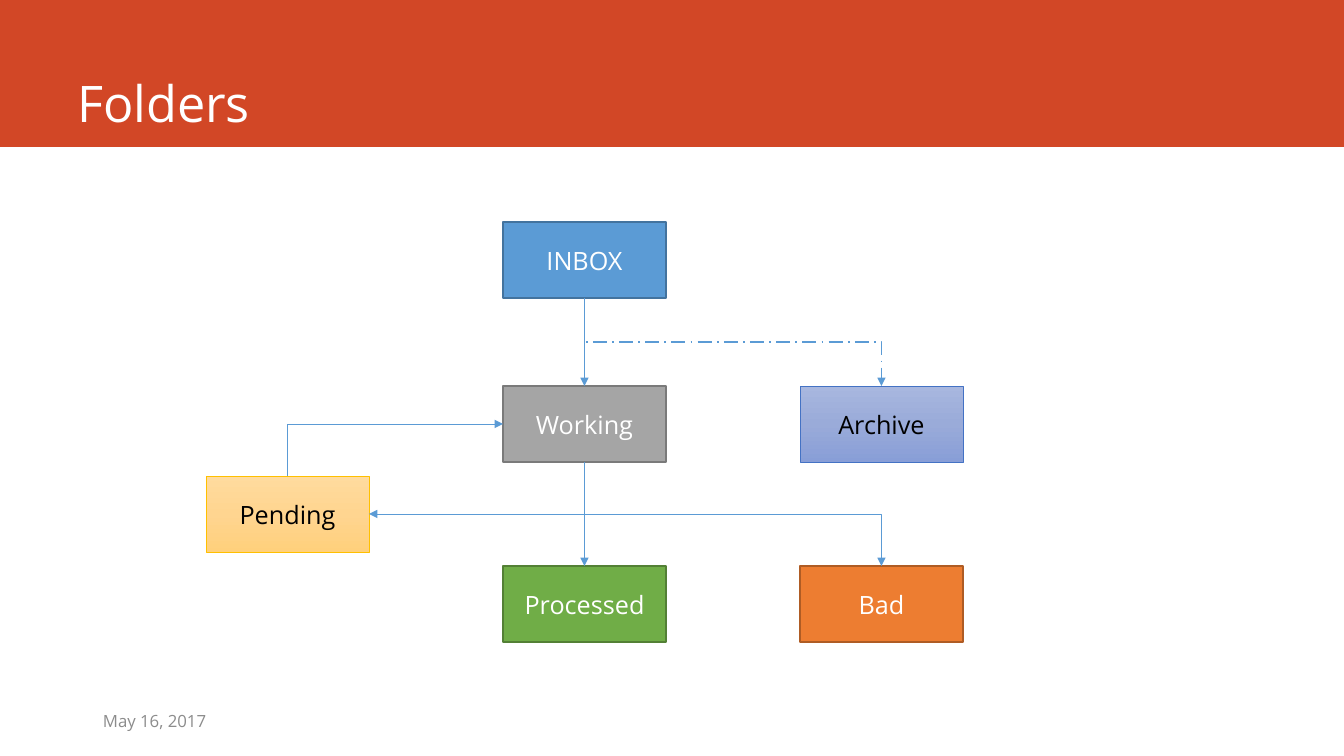
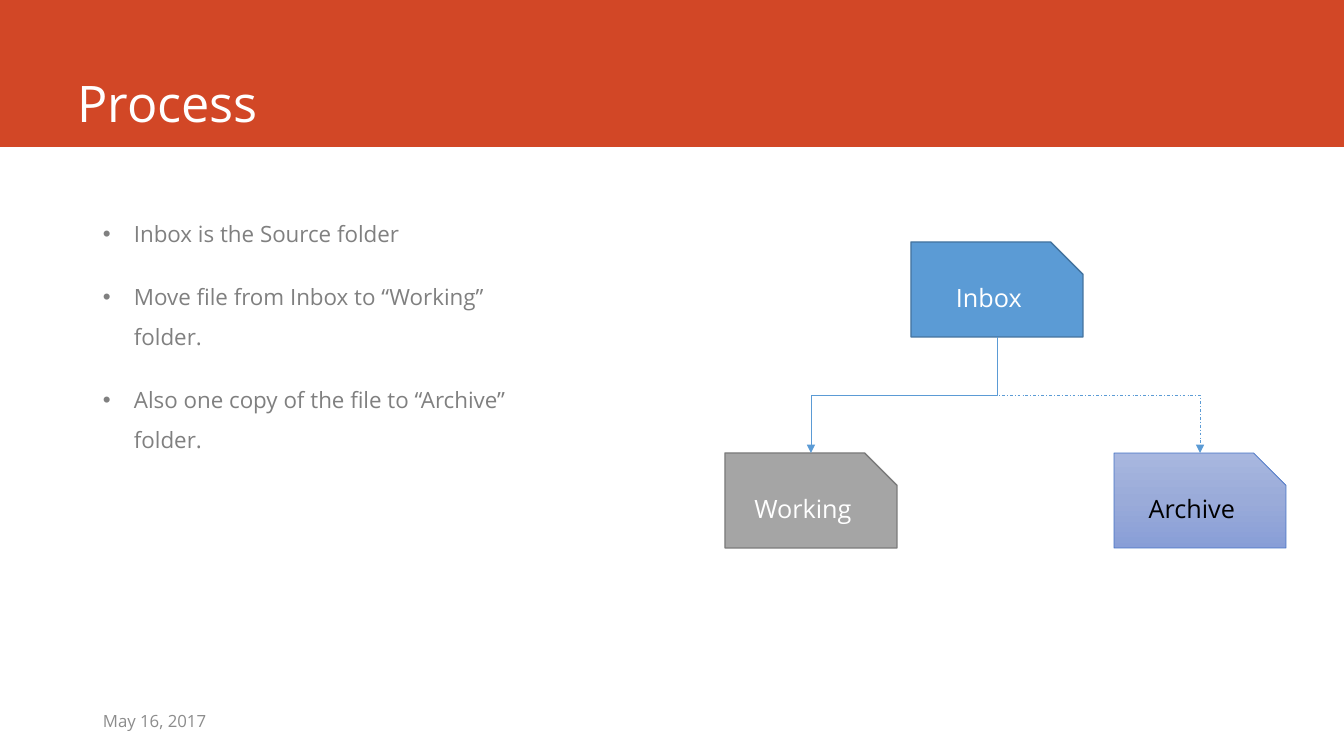
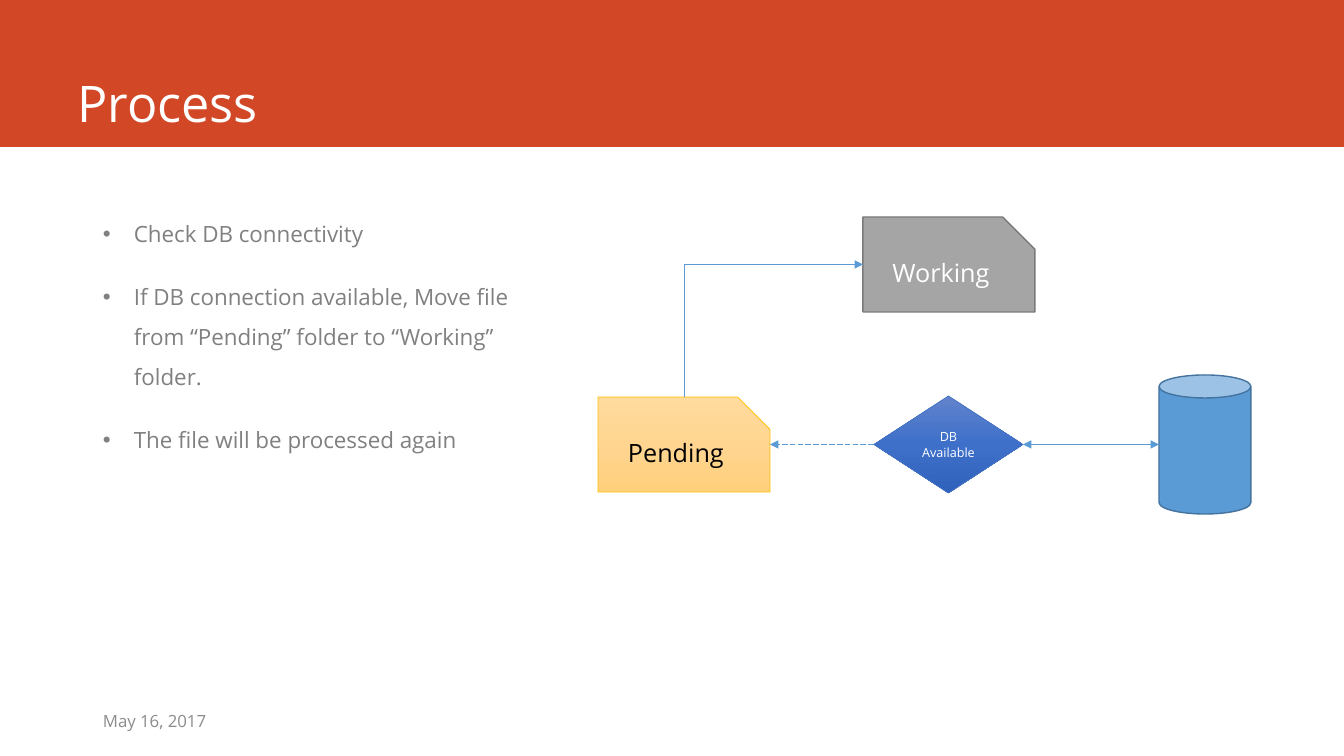
from copy import deepcopy

from pptx import Presentation
from pptx.dml.color import RGBColor
from pptx.enum.dml import MSO_LINE
from pptx.enum.shapes import MSO_CONNECTOR, MSO_SHAPE
from pptx.enum.text import MSO_ANCHOR, MSO_AUTO_SIZE, PP_ALIGN
from pptx.oxml.ns import qn
from pptx.oxml.xmlchemy import OxmlElement
from pptx.util import Pt

EMU_PER_PIXEL = 914400 / 100.8
SLIDE_WIDTH, SLIDE_HEIGHT = 1344, 756
TITLE_ONLY = 5

# Each style: fill (one colour, or three gradient stops), line, line width, text
BLUE = ("5B9BD5", "43739E", 1, "FFFFFF")
GRAY = ("A5A5A5", "7A7A7A", 1, "FFFFFF")
GREEN = ("70AD47", "538035", 1, "FFFFFF")
ORANGE = ("ED7D31", "AF5C24", 1, "FFFFFF")
YELLOW = (("FFDB9E", "FFD590", "FFD07C"), "FFC000", 0.5, "000000")
LAVENDER = (("A8B7DF", "9AABD9", "889ED7"), "4472C4", 0.5, "000000")
ROYAL = (("6183CB", "3E70CA", "3062BB"), "4472C4", 0.5, "FFFFFF")

# Connection sites in the order each preset shape numbers them
DEFAULT_SITES = ("top", "left", "bottom", "right")
SITES = {
    MSO_SHAPE.SNIP_1_RECTANGLE: ("right", "bottom", "left", "top"),
    MSO_SHAPE.CAN: ("center", "top", "left", "bottom", "right"),
}


def px(value):
    """Turn pixels into EMU."""
    return round(value * EMU_PER_PIXEL)


def rgb(value):
    """Turn a hex string into a colour."""
    return RGBColor.from_string(value)


def side_point(shape, side):
    """Return the middle of one side of a shape."""
    x = {"left": 0, "right": shape.width}.get(side, shape.width // 2)
    y = {"top": 0, "bottom": shape.height}.get(side, shape.height // 2)
    return shape.left + x, shape.top + y


class Deck:
    """Holds the shared style and the current slide."""

    font = "Open Sans"
    band = "D24726"
    arrow_color = "5B9BD5"
    date = "May 16, 2017"
    box_size = (163, 76)
    folder_size = (172, 95)

    def __init__(self):
        """Start an empty widescreen presentation."""
        self.presentation = Presentation()
        self.presentation.slide_width = px(SLIDE_WIDTH)
        self.presentation.slide_height = px(SLIDE_HEIGHT)
        self.slide = None

    def format_text(self, shape, size, color, align=PP_ALIGN.LEFT,
                    anchor=MSO_ANCHOR.MIDDLE):
        """Give all text of a shape one look."""
        frame = shape.text_frame
        frame.word_wrap = True
        frame.auto_size = MSO_AUTO_SIZE.NONE
        frame.vertical_anchor = anchor
        for paragraph in frame.paragraphs:
            paragraph.alignment = align
            for run in paragraph.runs:
                run.font.name = self.font
                run.font.size = Pt(size)
                run.font.color.rgb = rgb(color)

    def textbox(self, left, top, width, height, text):
        """Add a text box; line breaks in the text part paragraphs."""
        box = self.slide.shapes.add_textbox(px(left), px(top), px(width), px(height))
        box.text_frame.text = text
        return box

    def new_slide(self, heading):
        """Add a slide with band, title and date."""
        layout = self.presentation.slide_layouts[TITLE_ONLY]
        self.slide = self.presentation.slides.add_slide(layout)
        title = self.slide.shapes.title
        band = self.slide.shapes.add_shape(
            MSO_SHAPE.RECTANGLE, 0, 0, px(SLIDE_WIDTH), px(147))
        band.shadow.inherit = False
        band.fill.solid()
        band.fill.fore_color.rgb = rgb(self.band)
        band.line.fill.background()
        title._element.addprevious(band._element)

        title.left, title.top, title.width, title.height = px(67), 0, px(1185), px(133)
        title.text_frame.text = heading
        title.text_frame.margin_bottom = 0
        self.format_text(title, 36, "FFFFFF", anchor=MSO_ANCHOR.BOTTOM)
        date = self.textbox(93, 701, 361, 40, self.date)
        self.format_text(date, 12, "8C8C8C")

    def bullets(self, items):
        """Add the bulleted list on the left."""
        box = self.textbox(93, 202, 460, 480, "\n".join(items))
        self.format_text(box, 16, "808080", anchor=MSO_ANCHOR.TOP)
        for paragraph in box.text_frame.paragraphs:
            paragraph.line_spacing = 1.5
            paragraph.space_before = Pt(4)
            paragraph.space_after = Pt(12)
            properties = paragraph._p.get_or_add_pPr()
            properties.set("marL", str(px(31)))
            properties.set("indent", str(px(-31)))
            bullet_font = OxmlElement("a:buFont")
            bullet_font.set("typeface", "Arial")
            bullet = OxmlElement("a:buChar")
            bullet.set("char", "•")
            properties.extend([bullet_font, bullet])

    def node(self, kind, left, top, size, style, text="", text_size=18):
        """Add a filled, outlined shape with a centred label."""
        fill, line, line_width, text_color = style
        width, height = size
        shape = self.slide.shapes.add_shape(
            kind, px(left), px(top), px(width), px(height))
        shape.shadow.inherit = False
        if isinstance(fill, str):
            shape.fill.solid()
            shape.fill.fore_color.rgb = rgb(fill)
        else:
            self.gradient(shape, fill)
        shape.line.color.rgb = rgb(line)
        shape.line.width = Pt(line_width)
        if text:
            shape.text_frame.text = text
            self.format_text(shape, text_size, text_color, PP_ALIGN.CENTER)
        return shape

    def gradient(self, shape, colors):
        """Fill a shape from top to bottom with three colours."""
        shape.fill.gradient()
        shape.fill.gradient_angle = 270
        stop_list = shape._element.spPr.find(".//" + qn("a:gsLst"))
        stop_list.insert(1, deepcopy(stop_list[0]))
        for index, (stop, color) in enumerate(zip(shape.fill.gradient_stops, colors)):
            stop.position = index / 2
            stop.color.rgb = rgb(color)

    def box(self, left, top, style, text):
        """Add a plain rectangular folder."""
        return self.node(MSO_SHAPE.RECTANGLE, left, top, self.box_size, style, text)

    def folder(self, left, top, style, text):
        """Add a folder with a cut corner."""
        shape = self.node(MSO_SHAPE.SNIP_1_RECTANGLE, left, top,
                          self.folder_size, style, text)
        shape.adjustments[0] = 0.34
        return shape

    def arrow(self, source, source_side, target, target_side,
              preset="line", width=0.5, dash=None, both=False):
        """Join two shapes; an elbow leaves its source vertically."""
        bent = preset != "line"
        start_x, start_y = side_point(source, source_side)
        end_x, end_y = side_point(target, target_side)
        kind = MSO_CONNECTOR.ELBOW if bent else MSO_CONNECTOR.STRAIGHT
        connector = self.slide.shapes.add_connector(
            kind, start_x, start_y, end_x, end_y)
        source_sites = SITES.get(source.auto_shape_type, DEFAULT_SITES)
        target_sites = SITES.get(target.auto_shape_type, DEFAULT_SITES)
        connector.begin_connect(source, source_sites.index(source_side))
        connector.end_connect(target, target_sites.index(target_side))

        across, down = end_x - start_x, end_y - start_y
        span_x, span_y = abs(across), abs(down)
        properties = connector._element.spPr
        frame = properties.xfrm
        if bent:
            properties.find(qn("a:prstGeom")).set("prst", preset)
            span_x, span_y = span_y, span_x
            frame.rot = 270 if across > 0 and down > 0 else 90
            frame.flipH = across > 0
        else:
            frame.flipH = across < 0
        frame.flipV = down < 0
        connector.left = (start_x + end_x - span_x) // 2
        connector.top = (start_y + end_y - span_y) // 2
        connector.width, connector.height = span_x, span_y

        connector.line.color.rgb = rgb(self.arrow_color)
        connector.line.width = Pt(width)
        if dash:
            connector.line.dash_style = dash
        for end in ("a:headEnd", "a:tailEnd") if both else ("a:tailEnd",):
            head = OxmlElement(end)
            head.set("type", "triangle")
            connector.line._get_or_add_ln().append(head)
        properties.append(OxmlElement("a:effectLst"))


def folders_slide(deck):
    """Show all folders and the moves between them."""
    deck.new_slide("Folders")
    left, middle, right = (206 + 297 * column for column in range(3))
    inbox = deck.box(middle, 222, BLUE, "INBOX")
    working = deck.box(middle, 386, GRAY, "Working")
    processed = deck.box(middle, 566, GREEN, "Processed")
    bad = deck.box(right, 566, ORANGE, "Bad")
    pending = deck.box(left, 476, YELLOW, "Pending")
    archive = deck.box(right, 386, LAVENDER, "Archive")
    deck.arrow(inbox, "bottom", working, "top")
    deck.arrow(working, "bottom", processed, "top")
    deck.arrow(working, "bottom", bad, "top", "bentConnector3")
    deck.arrow(working, "bottom", pending, "right", "bentConnector2")
    deck.arrow(pending, "top", working, "left", "bentConnector2")
    deck.arrow(inbox, "bottom", archive, "top", "bentConnector3", 1.25,
               MSO_LINE.LONG_DASH_DOT)


def inbox_slide(deck):
    """Show how a file leaves the inbox."""
    deck.new_slide("Process")
    inbox = deck.folder(911, 242, BLUE, "Inbox")
    archive = deck.folder(1114, 453, LAVENDER, "Archive")
    working = deck.folder(725, 453, GRAY, "Working")
    deck.arrow(inbox, "bottom", archive, "top", "bentConnector3",
               dash=MSO_LINE.DASH_DOT)
    deck.arrow(inbox, "bottom", working, "top", "bentConnector3")
    deck.bullets([
        "Inbox is the Source folder",
        "Move file from Inbox to “Working” folder.",
        "Also one copy of the file to “Archive” folder.",
    ])


def pending_slide(deck):
    """Show how a pending file is processed again."""
    deck.new_slide("Process")
    database = deck.node(MSO_SHAPE.CAN, 1159, 375, (92, 139), BLUE)
    pending = deck.folder(598, 397, YELLOW, "Pending")
    working = deck.folder(863, 217, GRAY, "Working")
    decision = deck.node(MSO_SHAPE.FLOWCHART_DECISION, 874, 396, (149, 97),
                         ROYAL, "DB Available", 9)
    deck.arrow(decision, "right", database, "left", both=True)
    deck.arrow(pending, "top", working, "left", "bentConnector2")
    deck.arrow(decision, "left", pending, "right", dash=MSO_LINE.LONG_DASH)
    deck.bullets([
        "Check DB connectivity",
        "If DB connection available, Move file from “Pending” folder "
        "to “Working” folder.",
        "The file will be processed again",
    ])


def main():
    """Build and save the presentation."""
    deck = Deck()
    folders_slide(deck)
    inbox_slide(deck)
    pending_slide(deck)
    deck.presentation.save("out.pptx")


main()
